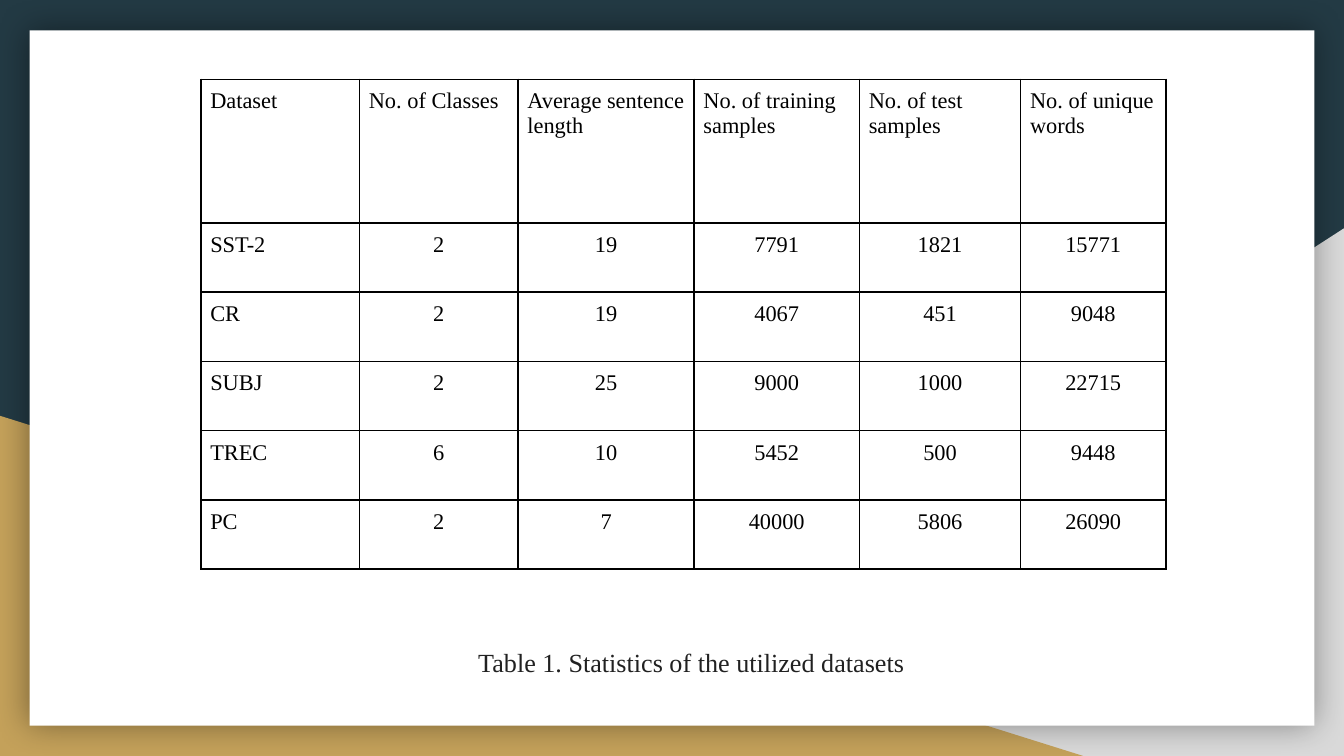
from lxml.etree import SubElement
from pptx import Presentation
from pptx.dml.color import RGBColor
from pptx.enum.shapes import MSO_SHAPE
from pptx.enum.text import MSO_ANCHOR, PP_ALIGN
from pptx.oxml import parse_xml
from pptx.oxml.ns import nsdecls, qn
from pptx.util import Inches, Pt

COLORS = {
    "navy": "233A44", "grey": "D9D9D9", "gold": "C4A15A",
    "white": "FFFFFF", "black": "000000", "caption": "212121",
}
FONT = "Times New Roman"

prs = Presentation()
prs.slide_width = Inches(10)
prs.slide_height = prs.slide_width * 9 // 16
W, H = prs.slide_width, prs.slide_height
s = prs.slides.add_slide(prs.slide_layouts[6])
s.background.fill.solid()
s.background.fill.fore_color.rgb = RGBColor.from_string(COLORS["navy"])


def add_panel(kind, x, y, w, h, color):
    sp = s.shapes.add_shape(kind, int(x * W), int(y * H), int(w * W), int(h * H))
    sp.shadow.inherit = False
    sp.fill.solid()
    sp.fill.fore_color.rgb = RGBColor.from_string(COLORS[color])
    sp.line.fill.background()
    return sp


def style_run(r, size, color):
    r.font.name = FONT
    r.font.size = Pt(size)
    r.font.color.rgb = RGBColor.from_string(COLORS[color])


corner = add_panel(MSO_SHAPE.RIGHT_TRIANGLE, 0.392, 0.302, 0.608, 0.698, "grey")
corner.element.spPr.find(qn("a:xfrm")).set("flipH", "1")
add_panel(MSO_SHAPE.RIGHT_TRIANGLE, 0, 0.55, 0.806, 0.45, "gold")
card = add_panel(MSO_SHAPE.RECTANGLE, 0.022, 0.04, 0.956, 0.92, "white")
card.element.spPr.find(qn("a:effectLst")).append(parse_xml(
    f'<a:outerShdw {nsdecls("a")} blurRad="{Pt(18)}" dist="0" algn="ctr" rotWithShape="0">'
    f'<a:srgbClr val="{COLORS["black"]}"><a:alpha val="40000"/></a:srgbClr></a:outerShdw>'
))

rows = [
    ["Dataset", "No. of Classes", "Average sentence length",
     "No. of training samples", "No. of test samples", "No. of unique words"],
    ["SST-2", "2", "19", "7791", "1821", "15771"],
    ["CR", "2", "19", "4067", "451", "9048"],
    ["SUBJ", "2", "25", "9000", "1000", "22715"],
    ["TREC", "6", "10", "5452", "500", "9448"],
    ["PC", "2", "7", "40000", "5806", "26090"],
]
col_widths = [1.18, 1.18, 1.31, 1.23, 1.2, 1.08]
row_heights = [1.07] + [0.515] * 5

table = s.shapes.add_table(
    len(rows), len(col_widths), Inches(1.495), Inches(0.59),
    Inches(sum(col_widths)), Inches(sum(row_heights)),
).table
table.first_row = table.horz_banding = False
for col, width in zip(table.columns, col_widths):
    col.width = Inches(width)
for row, height in zip(table.rows, row_heights):
    row.height = Inches(height)

for i, values in enumerate(rows):
    for j, value in enumerate(values):
        cell = table.cell(i, j)
        cell.margin_left = cell.margin_right = Inches(0.07)
        cell.margin_top = cell.margin_bottom = Inches(0.07)
        tcPr = cell._tc.get_or_add_tcPr()
        for side in ("a:lnL", "a:lnR", "a:lnT", "a:lnB"):
            ln = SubElement(tcPr, qn(side), w=str(Pt(1)))
            fill = SubElement(ln, qn("a:solidFill"))
            SubElement(fill, qn("a:srgbClr"), val=COLORS["black"])
        cell.fill.background()
        p = cell.text_frame.paragraphs[0]
        p.text = value
        p.alignment = PP_ALIGN.CENTER if i and j else PP_ALIGN.LEFT
        style_run(p.runs[0], 12, "black")

caption = s.shapes.add_textbox(
    int(0.296 * W), int(0.784 * H), int(0.464 * W), int(0.137 * H))
tf = caption.text_frame
tf.word_wrap = True
tf.vertical_anchor = MSO_ANCHOR.BOTTOM
tf.margin_left = tf.margin_right = tf.margin_top = Inches(0.1)
tf.margin_bottom = Inches(0.14)
p = tf.paragraphs[0]
p.text = "Table 1. Statistics of the utilized datasets"
p.line_spacing = 1.15
p._p.get_or_add_pPr().set("indent", str(Inches(0.5)))
style_run(p.runs[0], 14, "caption")

prs.save("out.pptx")
